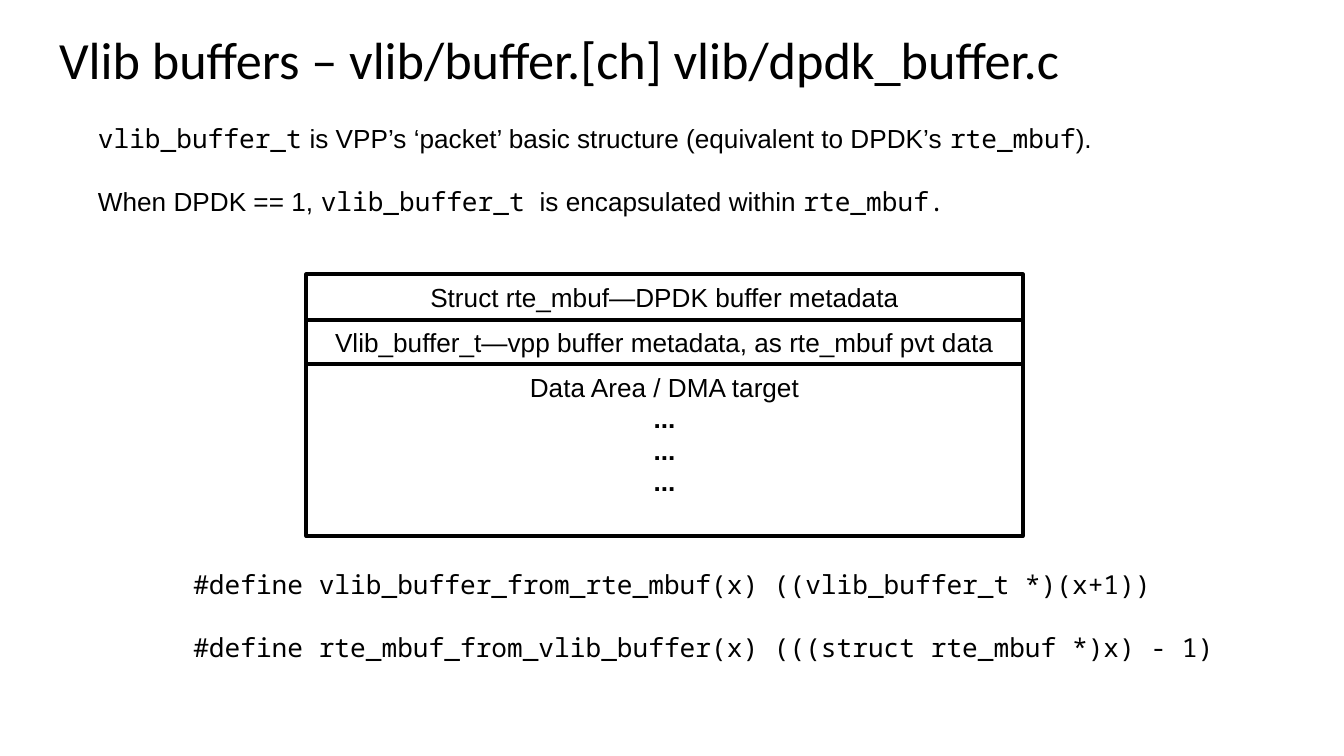
from dataclasses import dataclass

from pptx import Presentation
from pptx.dml.color import RGBColor
from pptx.enum.shapes import MSO_SHAPE
from pptx.enum.text import MSO_ANCHOR, MSO_AUTO_SIZE, PP_ALIGN
from pptx.util import Inches, Pt

RECTANGLE = MSO_SHAPE.RECTANGLE
TOP = MSO_ANCHOR.TOP
LEFT, CENTER = PP_ALIGN.LEFT, PP_ALIGN.CENTER
NO_AUTOFIT = MSO_AUTO_SIZE.NONE
TITLE_ONLY = 5


@dataclass(frozen=True)
class Theme:
    ink: RGBColor = RGBColor(0, 0, 0)
    heading: str = "Calibri"
    sans: str = "Arial"
    mono: str = "Noto Sans Mono"
    title_size: int = 28
    text_size: int = 14
    line_pitch: float = 16.9
    border: int = 2


THEME = Theme()

INTRO = [
    [("vlib_buffer_t", THEME.mono),
     (" is VPP’s ‘packet’ basic structure (equivalent to DPDK’s ", THEME.sans),
     ("rte_mbuf", THEME.mono),
     (").", THEME.sans)],
    [("When DPDK == 1, ", THEME.sans),
     ("vlib_buffer_t", THEME.mono),
     ("  is encapsulated within ", THEME.sans),
     ("rte_mbuf.", THEME.mono)],
]
MACROS = [
    [("#define vlib_buffer_from_rte_mbuf(x) ((vlib_buffer_t *)(x+1))", THEME.mono)],
    [("#define rte_mbuf_from_vlib_buffer(x) (((struct rte_mbuf *)x) - 1)", THEME.mono)],
]
# Height of each memory region and its lines of text
BUFFER_LAYOUT = [
    (0.34, ["Struct rte_mbuf—DPDK buffer metadata"]),
    (0.33, ["Vlib_buffer_t—vpp buffer metadata, as rte_mbuf pvt data"]),
    (1.28, ["Data Area / DMA target", "...", "...", "..."]),
]


def add_span(para, text, font_name, size=THEME.text_size, bold=False):
    span = para.add_run()
    span.text = text
    span.font.name = font_name
    span.font.size = Pt(size)
    span.font.bold = bold
    span.font.color.rgb = THEME.ink


def set_frame(frame, side, end, wrap=True):
    """Anchor the text at the top, with the given insets in inches."""
    frame.margin_left = frame.margin_right = Inches(side)
    frame.margin_top = frame.margin_bottom = Inches(end)
    frame.vertical_anchor = TOP
    frame.auto_size = NO_AUTOFIT
    frame.word_wrap = wrap


def add_para(frame, index, align):
    para = frame.add_paragraph() if index else frame.paragraphs[0]
    para.alignment = align
    para.line_spacing = Pt(THEME.line_pitch)
    return para


def place_title(page, left, top, width, height, text):
    title = page.shapes.title
    title.left, title.top = Inches(left), Inches(top)
    title.width, title.height = Inches(width), Inches(height)
    set_frame(title.text_frame, 0.1, 0.1)
    para = title.text_frame.paragraphs[0]
    para.alignment = LEFT
    add_span(para, text, THEME.heading, THEME.title_size)


def place_statements(page, left, top, width, height, statements, wrap=True):
    """Add a text box whose paragraphs are one line apart."""
    box = page.shapes.add_textbox(Inches(left), Inches(top), Inches(width), Inches(height))
    set_frame(box.text_frame, 0.1, 0.05, wrap)
    for index, spans in enumerate(statements):
        para = add_para(box.text_frame, index, LEFT)
        if index:
            para.space_before = Pt(THEME.line_pitch)
        for text, font_name in spans:
            add_span(para, text, font_name)


def place_buffer_diagram(page, left, top, width):
    for height, lines in BUFFER_LAYOUT:
        region = page.shapes.add_shape(
            RECTANGLE, Inches(left), Inches(top), Inches(width), Inches(height))
        region.shadow.inherit = False
        region.fill.background()
        region.line.color.rgb = THEME.ink
        region.line.width = Pt(THEME.border)
        set_frame(region.text_frame, 0.1, 0.05)
        for index, line in enumerate(lines):
            para = add_para(region.text_frame, index, CENTER)
            add_span(para, line, THEME.sans, bold=index > 0)
        top += height


def main():
    deck = Presentation()
    deck.slide_width = Inches(10)
    deck.slide_height = deck.slide_width * 9 // 16
    page = deck.slides.add_slide(deck.slide_layouts[TITLE_ONLY])
    place_title(page, 0.34, 0.1, 9.32, 0.63,
                "Vlib buffers – vlib/buffer.[ch] vlib/dpdk_buffer.c")
    place_statements(page, 0.63, 0.86, 7.65, 1.04, INTRO, wrap=False)
    place_buffer_diagram(page, 2.28, 2.04, 5.33)
    place_statements(page, 1.34, 4.18, 8.16, 0.91, MACROS)
    deck.save("out.pptx")


if __name__ == "__main__":
    main()
